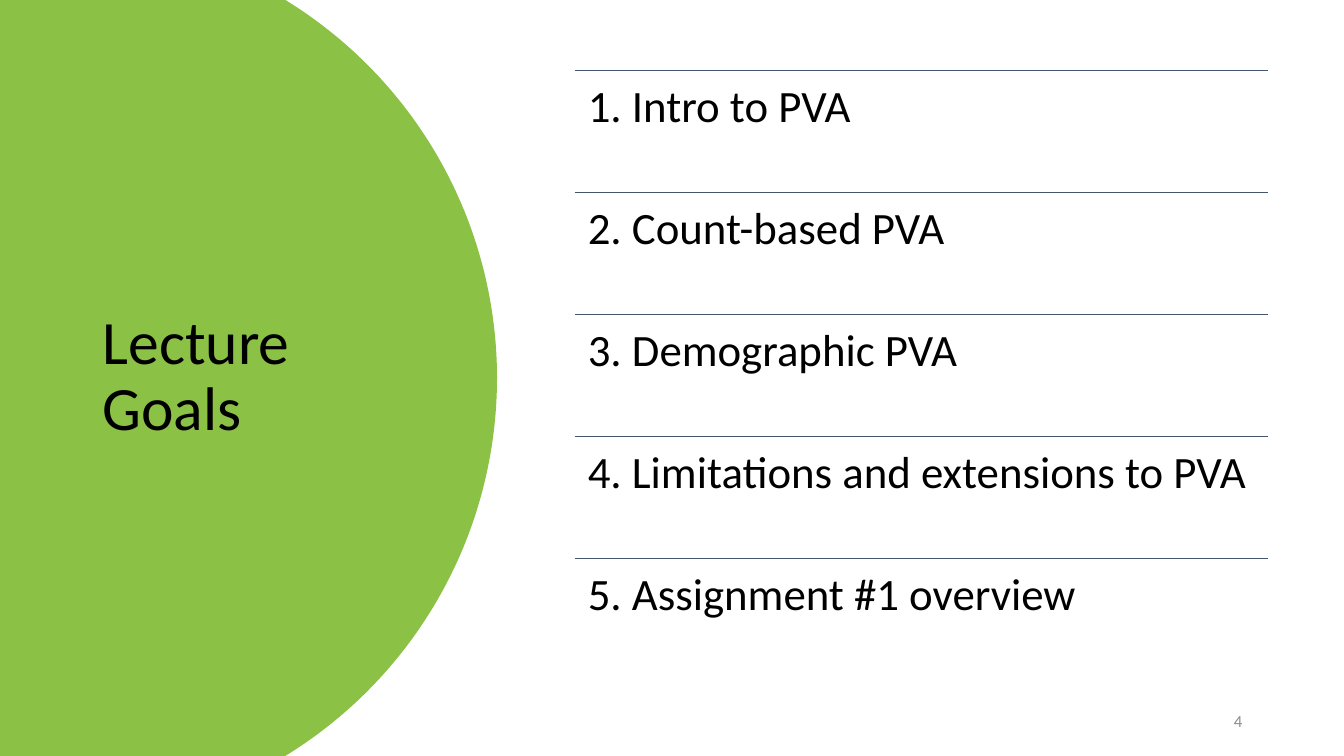
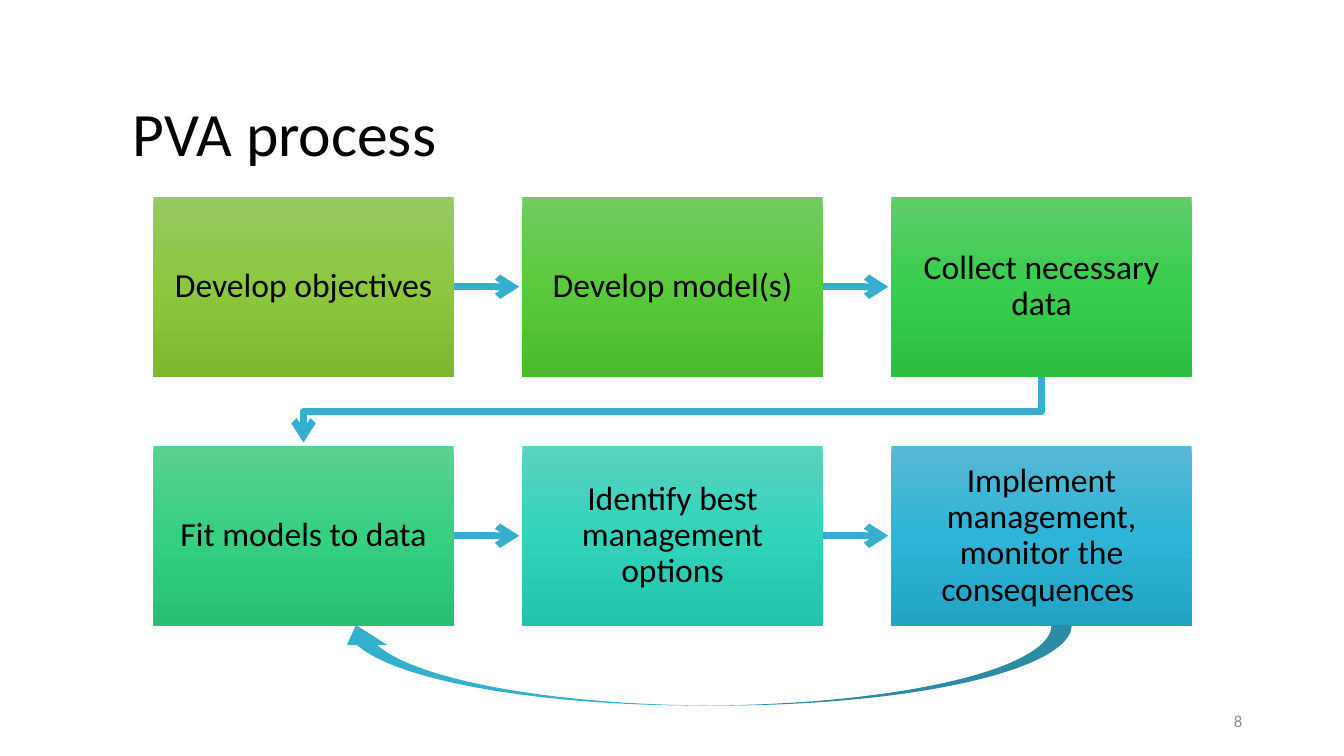
from dataclasses import dataclass
from math import asin, cos, sin

from lxml.etree import SubElement
from pptx import Presentation
from pptx.dml.color import RGBColor
from pptx.enum.shapes import MSO_CONNECTOR, MSO_SHAPE
from pptx.enum.text import MSO_ANCHOR, PP_ALIGN
from pptx.oxml.ns import qn
from pptx.util import Inches, Pt

FONT = "Calibri"
BLACK = RGBColor(0x00, 0x00, 0x00)
GREY = RGBColor(0x8C, 0x8C, 0x8C)
GREEN = RGBColor(0x8B, 0xC1, 0x45)
SLATE = RGBColor(0x44, 0x54, 0x6A)
BLUE = RGBColor(0x36, 0xAF, 0xCE)

SLIDE_W, SLIDE_H = 13.33, 7.5

GOALS = (
    "1. Intro to PVA",
    "2. Count-based PVA",
    "3. Demographic PVA",
    "4. Limitations and extensions to PVA",
    "5. Assignment #1 overview",
)
GOAL_LEFT, GOAL_TOP, GOAL_W, GOAL_H = 5.7, 0.7, 6.88, 1.21

STEP_COLS = 3
STEP_LEFT, STEP_TOP, STEP_W, STEP_H = 1.52, 1.95, 2.98, 1.79
STEP_DX, STEP_DY = 3.66, 2.47
ARROW_LEN = 0.65


@dataclass(frozen=True)
class Box:
    left: float
    top: float
    width: float
    height: float

    @property
    def emu(self) -> tuple:
        return tuple(Inches(v) for v in (self.left, self.top, self.width, self.height))

    @property
    def right(self) -> float:
        return self.left + self.width

    @property
    def bottom(self) -> float:
        return self.top + self.height

    @property
    def center_x(self) -> float:
        return self.left + self.width / 2

    @property
    def center_y(self) -> float:
        return self.top + self.height / 2


@dataclass(frozen=True)
class Step:
    text: str
    light: RGBColor
    middle: RGBColor
    dark: RGBColor


STEPS = (
    Step("Develop objectives", RGBColor(0x98, 0xC8, 0x62),
         RGBColor(0x8C, 0xC7, 0x3F), RGBColor(0x7D, 0xB8, 0x31)),
    Step("Develop model(s)", RGBColor(0x72, 0xCB, 0x60),
         RGBColor(0x5A, 0xCA, 0x3C), RGBColor(0x4B, 0xBB, 0x2E)),
    Step("Collect necessary data", RGBColor(0x5E, 0xCD, 0x6A),
         RGBColor(0x38, 0xCD, 0x4E), RGBColor(0x2B, 0xBE, 0x40)),
    Step("Fit models to data", RGBColor(0x5C, 0xD0, 0x90),
         RGBColor(0x35, 0xD0, 0x82), RGBColor(0x27, 0xC0, 0x73)),
    Step("Identify best management options", RGBColor(0x5B, 0xD2, 0xBE),
         RGBColor(0x32, 0xD3, 0xBB), RGBColor(0x24, 0xC3, 0xAB)),
    Step("Implement management, monitor the consequences ", RGBColor(0x59, 0xB8, 0xD4),
         RGBColor(0x2E, 0xB4, 0xD6), RGBColor(0x21, 0xA4, 0xC6)),
)


def write(sp, text: str, size: int, color: RGBColor = BLACK, align=PP_ALIGN.LEFT,
          anchor=MSO_ANCHOR.MIDDLE, inset: float | None = None, spacing: float = 0.9) -> None:
    tf = sp.text_frame
    tf.text = text
    tf.word_wrap = True
    tf.vertical_anchor = anchor
    if inset is not None:
        tf.margin_left = tf.margin_right = tf.margin_top = tf.margin_bottom = Inches(inset)
    p = tf.paragraphs[0]
    p.alignment = align
    p.line_spacing = spacing
    font = p.runs[0].font
    font.name, font.size, font.color.rgb = FONT, Pt(size), color


def add_frame(prs, title: str, title_box: Box, number: int):
    """Add a blank slide with its title and slide number."""
    s = prs.slides.add_slide(prs.slide_layouts[6])
    write(s.shapes.add_textbox(*title_box.emu), title, 44)
    write(s.shapes.add_textbox(*Box(9.42, 6.95, 3, 0.4).emu), str(number), 12,
          GREY, PP_ALIGN.RIGHT, spacing=1.0)
    return s


def style_line(sp, color: RGBColor, width: float, arrow: bool = False) -> None:
    sp.line.color.rgb = color
    sp.line.width = Pt(width)
    if arrow:
        SubElement(sp.line._get_or_add_ln(), qn("a:tailEnd"), type="arrow")


def add_line(s, x1: float, y1: float, x2: float, y2: float,
             color: RGBColor, width: float, arrow: bool = False) -> None:
    line = s.shapes.add_connector(MSO_CONNECTOR.STRAIGHT,
                                  *(Inches(v) for v in (x1, y1, x2, y2)))
    style_line(line, color, width, arrow)
    SubElement(line._element.spPr, qn("a:effectLst"))


def add_outline(s, points: list, close: bool):
    start, *rest = [(Inches(x), Inches(y)) for x, y in points]
    builder = s.shapes.build_freeform(*start)
    builder.add_line_segments(rest, close=close)
    sp = builder.convert_to_shape()
    sp.shadow.inherit = False
    return sp


def add_round_panel(s) -> None:
    """Draw the left panel, whose right edge is a circular arc."""
    top_x, bulge_x, half = 2.83, 4.93, SLIDE_H / 2
    depth = bulge_x - top_x
    radius = (depth ** 2 + half ** 2) / (2 * depth)
    reach, parts = asin(half / radius), 120
    angles = [reach * (2 * i / parts - 1) for i in range(parts + 1)]
    arc = [(bulge_x - radius + radius * cos(a), half + radius * sin(a)) for a in angles]
    panel = add_outline(s, [(0, 0), *arc, (0, SLIDE_H)], close=True)
    panel.fill.solid()
    panel.fill.fore_color.rgb = GREEN
    panel.line.fill.background()


def fill_down(sp, *colors: RGBColor) -> None:
    """Fill with an evenly spaced gradient from top to bottom."""
    sp.fill.gradient()
    grad = sp._element.spPr.find(qn("a:gradFill"))
    stops = grad.find(qn("a:gsLst"))
    for stop in list(stops):
        stops.remove(stop)
    for i, color in enumerate(colors):
        stop = SubElement(stops, qn("a:gs"), pos=str(100000 * i // (len(colors) - 1)))
        SubElement(stop, qn("a:srgbClr"), val=str(color))
    grad.find(qn("a:lin")).set("ang", "5400000")


def add_step(s, step: Step, box: Box) -> None:
    sp = s.shapes.add_shape(MSO_SHAPE.RECTANGLE, *box.emu)
    sp.shadow.inherit = False
    sp.line.fill.background()
    fill_down(sp, step.light, step.middle, step.dark)
    write(sp, step.text, 24, align=PP_ALIGN.CENTER, inset=0.15)


def add_step_arrow(s, a: Box, b: Box) -> None:
    """Link two steps, bending when the second starts a new row."""
    if a.top == b.top:
        add_line(s, a.right, a.center_y, a.right + ARROW_LEN, a.center_y, BLUE, 5, True)
        return
    bend_y = (a.bottom + b.top) / 2
    sp = add_outline(s, [(a.center_x, a.bottom), (a.center_x, bend_y),
                         (b.center_x, bend_y), (b.center_x, a.bottom + ARROW_LEN)], close=False)
    sp.fill.background()
    style_line(sp, BLUE, 5, True)


def add_feedback_arrow(s) -> None:
    sp = s.shapes.add_shape(MSO_SHAPE.CURVED_LEFT_ARROW, *Box(6.58, 2.95, 0.8, 7.3).emu)
    sp.rotation = 90
    sp.shadow.inherit = False
    sp.fill.solid()
    sp.fill.fore_color.rgb = BLUE
    sp.line.fill.background()


def build_goals(prs) -> None:
    s = add_frame(prs, "Lecture Goals", Box(0.92, 0.7, 3.23, 6.09), 4)
    add_round_panel(s)
    # The panel belongs behind the title and the number.
    tree = s.shapes._spTree
    tree.insert(2, s.shapes[-1]._element)
    for i, goal in enumerate(GOALS):
        box = Box(GOAL_LEFT, GOAL_TOP + i * GOAL_H, GOAL_W, GOAL_H)
        add_line(s, box.left, box.top, box.right, box.top, SLATE, 1)
        write(s.shapes.add_textbox(*box.emu), goal, 32, anchor=MSO_ANCHOR.TOP, inset=0.13)


def build_process(prs) -> None:
    s = add_frame(prs, "PVA process", Box(1.22, 0.5, 10.37, 1.7), 8)
    boxes = [Box(STEP_LEFT + i % STEP_COLS * STEP_DX, STEP_TOP + i // STEP_COLS * STEP_DY,
                 STEP_W, STEP_H) for i in range(len(STEPS))]
    for a, b in zip(boxes, boxes[1:]):
        add_step_arrow(s, a, b)
    for step, box in zip(STEPS, boxes):
        add_step(s, step, box)
    add_feedback_arrow(s)


def main() -> None:
    prs = Presentation()
    prs.slide_width, prs.slide_height = Inches(SLIDE_W), Inches(SLIDE_H)
    build_goals(prs)
    build_process(prs)
    prs.save("out.pptx")


if __name__ == "__main__":
    main()
